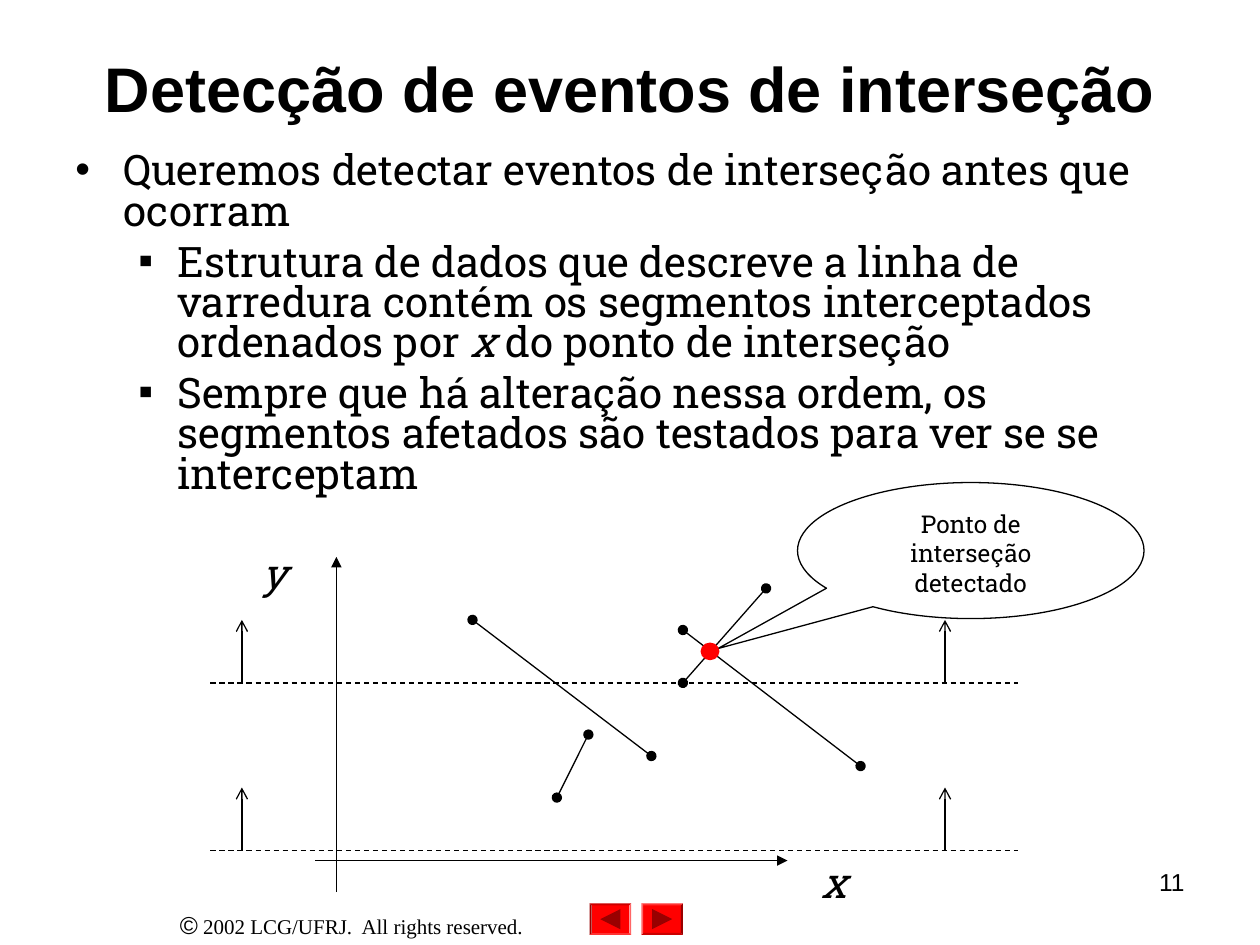
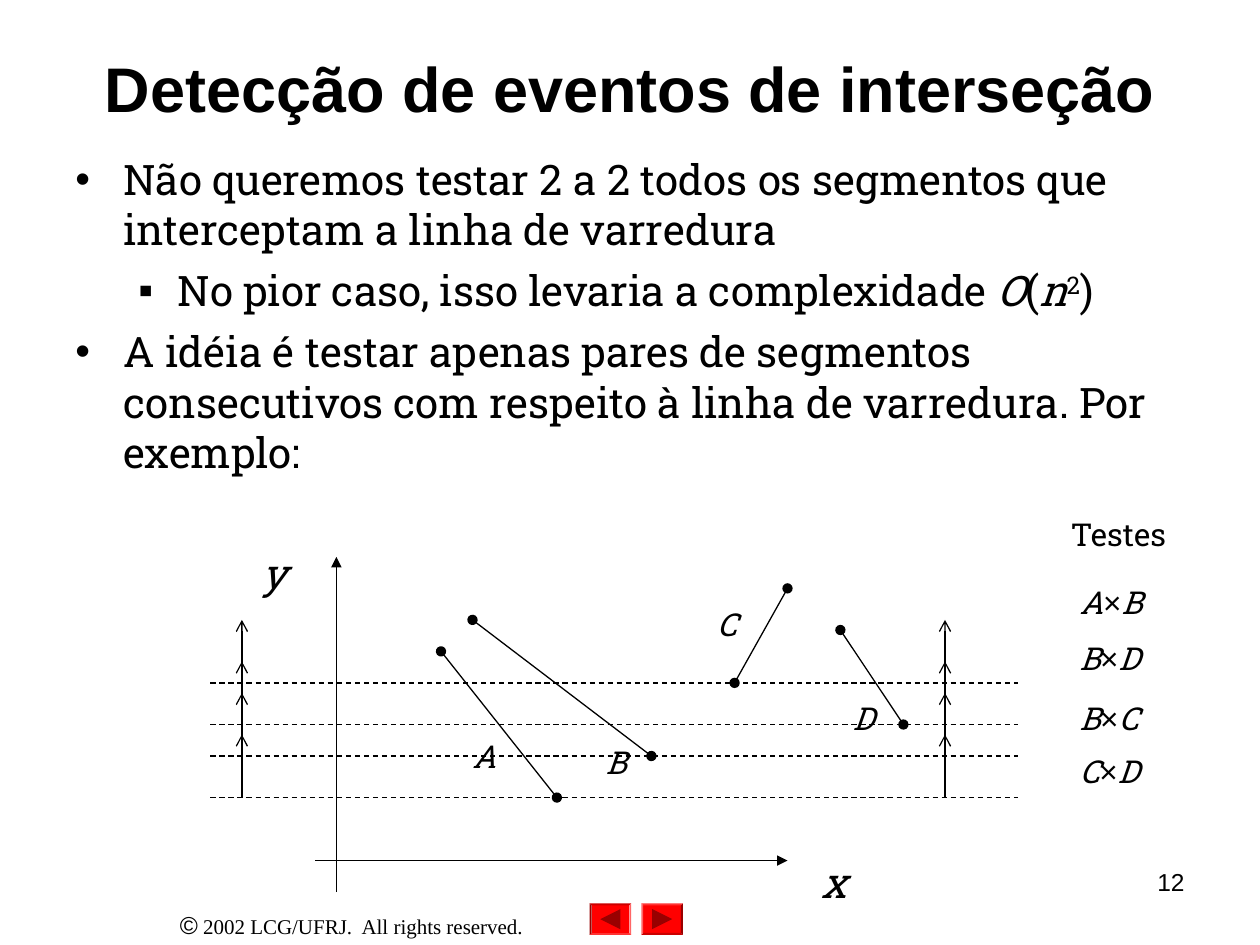
from lxml import etree
from pptx import Presentation
from pptx.dml.color import RGBColor
from pptx.enum.dml import MSO_LINE
from pptx.enum.shapes import MSO_CONNECTOR, MSO_SHAPE
from pptx.enum.text import MSO_ANCHOR, PP_ALIGN
from pptx.oxml.ns import qn
from pptx.util import Inches, Pt

BLACK, RED, DARK_RED = "000000", "FF0000", "990000"
HEAD_FONT, BODY_FONT, FOOT_FONT = "Arial", "Roboto Slab", "Times New Roman"
TITLE = "Detecção de eventos de interseção"
ITALIC = {"italic": True}
# Per level: bullet, left margin, hanging indent
BULLETS = [("•", 0.38, -0.38), ("▪", 0.81, -0.31)]


def color(value):
    return RGBColor.from_string(value)


def add_runs(p, runs, size=24, font=BODY_FONT, bold=False, italic=False):
    """Add runs, each a string or a (string, changed format) pair."""
    for run in [runs] if isinstance(runs, str) else runs:
        text, change = (run, {}) if isinstance(run, str) else run
        r = p.add_run()
        r.text = text
        r.font.size = Pt(change.get("size", size))
        r.font.name = change.get("font", font)
        r.font.bold = bold
        r.font.italic = change.get("italic", italic)
        r.font.color.rgb = color(BLACK)
        if change.get("superscript"):
            r._r.get_or_add_rPr().set("baseline", "30000")


def add_text(s, box, runs, align=PP_ALIGN.LEFT, anchor=MSO_ANCHOR.TOP,
             wrap=True, **fmt):
    sp = s.shapes.add_textbox(*map(Inches, box))
    tf = sp.text_frame
    tf.word_wrap = wrap
    tf.vertical_anchor = anchor
    tf.paragraphs[0].alignment = align
    add_runs(tf.paragraphs[0], runs, **fmt)


def add_line(shapes, start, end, head=None, tail=None, dashed=False):
    c = shapes.add_connector(MSO_CONNECTOR.STRAIGHT,
                             *map(Inches, (*start, *end)))
    c.line.color.rgb = color(BLACK)
    c.line.width = Pt(0.75)
    if dashed:
        c.line.dash_style = MSO_LINE.DASH
    ln = c.line._get_or_add_ln()
    for tag, kind in (("a:headEnd", head), ("a:tailEnd", tail)):
        if kind:
            etree.SubElement(ln, qn(tag)).set("type", kind)
    etree.SubElement(c._element.spPr, qn("a:effectLst"))


def add_shape(s, kind, box, fill=None, line=None, rotation=0):
    sp = s.shapes.add_shape(kind, *map(Inches, box))
    sp.shadow.inherit = False
    sp.rotation = rotation
    if fill:
        sp.fill.solid()
        sp.fill.fore_color.rgb = color(fill)
    else:
        sp.fill.background()
    if line:
        sp.line.color.rgb = color(line)
        sp.line.width = Pt(0.75)
    else:
        sp.line.fill.background()
    return sp


def nav_button(s, left, top, rotation):
    """Bevelled button with a triangle that points right before rotation."""
    w, h, mark = 0.33, 0.25, 0.16
    bevel = add_shape(s, MSO_SHAPE.BEVEL, (left, top, w, h), RED,
                      rotation=rotation)
    bevel.adjustments[0] = 0.06
    add_shape(s, MSO_SHAPE.ISOSCELES_TRIANGLE,
              (left + (w - mark) / 2, top + (h - mark) / 2, mark, mark),
              DARK_RED, rotation=rotation + 90)


def base_slide(prs, number):
    """Slide with the footer, buttons, title and page number."""
    s = prs.slides.add_slide(prs.slide_layouts[6])
    add_text(s, (0.83, 7.17, 3.92, 0.34),
             [("©", {"size": 14, "font": HEAD_FONT}),
              " 2002 LCG/UFRJ.  All rights reserved."],
             align=PP_ALIGN.CENTER, size=12, font=FOOT_FONT)
    nav_button(s, 5.09, 7.17, 0)
    nav_button(s, 4.68, 7.17, 180)
    add_text(s, (0.5, 0.3, 9, 0.78), TITLE, align=PP_ALIGN.CENTER,
             anchor=MSO_ANCHOR.MIDDLE, size=36, font=HEAD_FONT, bold=True)
    add_text(s, (7.17, 6.83, 2.33, 0.52), str(number),
             align=PP_ALIGN.RIGHT, size=14, font=HEAD_FONT)
    return s


def bullet_list(s, box, items, spacing=1.0):
    """Add (level, runs) items as bulleted paragraphs."""
    tf = s.shapes.add_textbox(*map(Inches, box)).text_frame
    tf.word_wrap = True
    for i, (level, runs) in enumerate(items):
        p = tf.add_paragraph() if i else tf.paragraphs[0]
        p.level = level
        p.line_spacing = spacing
        p.space_before = Pt(6)
        char, margin, indent = BULLETS[level]
        pPr = p._p.get_or_add_pPr()
        pPr.set("marL", str(Inches(margin)))
        pPr.set("indent", str(Inches(indent)))
        etree.SubElement(pPr, qn("a:buFont")).set("typeface", HEAD_FONT)
        etree.SubElement(pPr, qn("a:buChar")).set("char", char)
        add_runs(p, runs)


def sweep_line(s, left, y):
    """Dashed line with an upward arrow near each end."""
    shapes = s.shapes.add_group_shape().shapes
    add_line(shapes, (left, y), (left + 6.41, y), dashed=True)
    for x in (left + 0.25, left + 5.83):
        add_line(shapes, (x, y), (x, y - 0.5), tail="arrow")


def sweep_diagram(s, left, top, sweeps, segments):
    """Axes, sweep lines at the given heights, and segments."""
    add_line(s.shapes, (left + 1, top + 2.66), (left + 1, top),
             tail="triangle")
    add_line(s.shapes, (left + 0.83, top + 2.41), (left + 4.58, top + 2.41),
             tail="triangle")
    for name, x, y in (("y", 0.31, -0.12), ("x", 4.75, 2.33)):
        add_text(s, (left + x, top + y, 0.4, 0.5), name, wrap=False,
                 italic=True)
    for y in sweeps:
        sweep_line(s, left, top + y)
    for x1, y1, x2, y2 in segments:
        add_line(s.shapes, (left + x1, top + y1), (left + x2, top + y2),
                 head="oval", tail="oval")


def detected_point(s, left, top):
    """Callout and the intersection it points to."""
    callout = add_shape(s, MSO_SHAPE.OVAL_CALLOUT, (left, top, 2.75, 1.08),
                        line=BLACK)
    callout.adjustments[0] = -0.73
    callout.adjustments[1] = 0.72
    tf = callout.text_frame
    tf.word_wrap = True
    tf.vertical_anchor = MSO_ANCHOR.TOP
    tf.paragraphs[0].alignment = PP_ALIGN.CENTER
    add_runs(tf.paragraphs[0], "Ponto de interseção detectado", size=14)
    add_shape(s, MSO_SHAPE.OVAL, (left - 0.77, top + 1.27, 0.15, 0.14), RED)


def segment_names(s, left, top):
    for name, x, y in (("A", 1.98, 1.38), ("B", 3.04, 1.43),
                       ("C", 3.92, 0.33), ("D", 5, 1.08)):
        add_text(s, (left + x, top + y, 0.38, 0.4), name, wrap=False,
                 size=18, italic=True)


def test_list(s, left, top):
    """Heading and the pairs of segments tested."""
    add_text(s, (left, top, 0.97, 0.4), "Testes", wrap=False, size=18)
    for (a, b), y in zip(("AB", "BD", "BC", "CD"), (0.54, 0.98, 1.46, 1.88)):
        add_text(s, (left + 0.07, top + y, 0.76, 0.4),
                 [(a, ITALIC), ("×", {"font": HEAD_FONT}), (b, ITALIC)],
                 wrap=False, size=18)


def detection_slide(prs):
    s = base_slide(prs, 11)
    bullet_list(s, (0.5, 1.17, 8.92, 2.92), [
        (0, "Queremos detectar eventos de interseção antes que ocorram"),
        (1, ["Estrutura de dados que descreve a linha de varredura contém os "
             "segmentos interceptados ordenados por ", ("x", ITALIC),
             " do ponto de interseção"]),
        (1, "Sempre que há alteração nessa ordem, os segmentos afetados são "
            "testados para ver se se interceptam"),
    ], spacing=0.8)
    sweep_diagram(s, 1.67, 4.42, (1, 2.33), [
        (2.08, 0.5, 3.5, 1.58), (3, 1.41, 2.75, 1.91),
        (3.75, 0.58, 5.16, 1.66), (3.75, 1, 4.41, 0.25)])
    detected_point(s, 6.33, 3.83)


def pairs_slide(prs):
    s = base_slide(prs, 12)
    bullet_list(s, (0.5, 1.17, 8.92, 3), [
        (0, "Não queremos testar 2 a 2 todos os segmentos que interceptam a "
            "linha de varredura"),
        (1, ["No pior caso, isso levaria a complexidade ", ("O", ITALIC), "(",
             ("n", ITALIC), ("2", {"superscript": True}), ")"]),
        (0, "A idéia é testar apenas pares de segmentos consecutivos com "
            "respeito à linha de varredura. Por exemplo:"),
    ])
    left, top = 1.67, 4.42
    sweep_diagram(s, left, top, (1, 1.33, 1.58, 1.91), [
        (2.08, 0.5, 3.5, 1.58), (1.83, 0.75, 2.75, 1.91),
        (4.58, 0.25, 4.16, 1), (5.5, 1.33, 5, 0.58)])
    segment_names(s, left, top)
    test_list(s, 8.4, 4.04)


def main():
    prs = Presentation()
    prs.slide_width, prs.slide_height = Inches(10), Inches(7.5)
    detection_slide(prs)
    pairs_slide(prs)
    prs.save("out.pptx")


if __name__ == "__main__":
    main()
